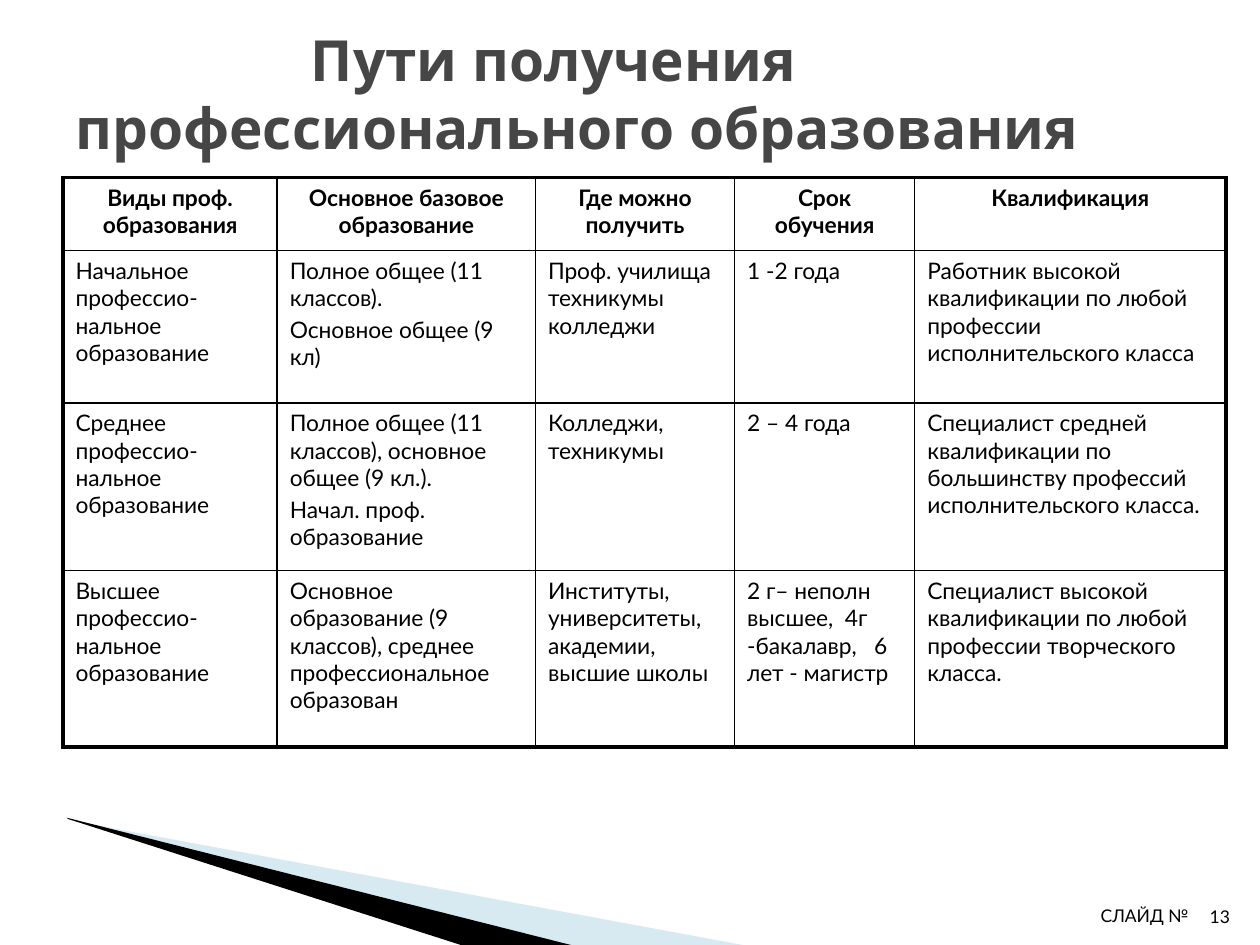
from lxml import etree
from pptx import Presentation
from pptx.dml.color import RGBColor
from pptx.enum.text import MSO_ANCHOR, PP_ALIGN
from pptx.oxml.ns import qn
from pptx.util import Inches, Pt

BLACK = RGBColor(0x00, 0x00, 0x00)
GREY = RGBColor(0x46, 0x46, 0x46)
BLUE = RGBColor(0x9F, 0xCB, 0xDC)

prs = Presentation()
prs.slide_width, prs.slide_height = Inches(10), Inches(7.5)
s = prs.slides.add_slide(prs.slide_layouts[6])


def add_text(text, left, top, width, height, font, size, color, anchor):
    tf = s.shapes.add_textbox(Inches(left), Inches(top), Inches(width), Inches(height)).text_frame
    tf.word_wrap = True
    tf.vertical_anchor = anchor
    p = tf.paragraphs[0]
    p.text = text
    p.font.name, p.font.size, p.font.color.rgb = font, Pt(size), color
    return p


def set_border(cell, side, width):
    ln = etree.SubElement(cell._tc.get_or_add_tcPr(), qn(f"a:ln{side}"), w=str(Pt(width)))
    fill = etree.SubElement(ln, qn("a:solidFill"))
    etree.SubElement(fill, qn("a:srgbClr"), val=str(BLACK))


# Corner wedges: blue at 40 % opacity, then black
wedges = [
    (BLUE, 40, [(0.55, 6.51), (5.95, 7.51), (4.56, 7.51), (0.55, 6.5)]),
    (BLACK, 100, [(0.53, 6.49), (4.57, 7.51), (3.72, 7.52), (0.54, 6.5)]),
]
for color, opacity, points in wedges:
    start, *rest = [(Inches(x), Inches(y)) for x, y in points]
    fb = s.shapes.build_freeform(*start)
    fb.add_line_segments(rest, close=True)
    sp = fb.convert_to_shape()
    sp.shadow.inherit = False
    sp.fill.solid()
    sp.fill.fore_color.rgb = color
    sp.line.fill.background()
    if opacity < 100:
        clr = sp._element.spPr.find(qn("a:solidFill"))[0]
        etree.SubElement(clr, qn("a:alpha"), val=str(opacity * 1000))

# Title, with its first line indented
p = add_text("Пути получения профессионального образования",
             0.5, 0.32, 9, 0.83, "Noto Sans", 32.4, GREY, MSO_ANCHOR.MIDDLE)
p.font.bold = True
p._p.get_or_add_pPr().set("indent", str(Inches(1.87)))

# Table of education paths; a line break in a cell starts a new paragraph
rows = [
    ["Виды проф. образования", "Основное базовое образование", "Где можно получить",
     "Срок обучения", "Квалификация"],
    ["Начальное профессио-нальное образование",
     "Полное общее (11 классов).\nОсновное общее (9 кл)",
     "Проф. училища техникумы колледжи", "1 -2 года",
     "Работник высокой квалификации по любой профессии исполнительского класса"],
    ["Среднее профессио-нальное образование",
     "Полное общее (11 классов), основное общее (9 кл.).\nНачал. проф. образование",
     "Колледжи, техникумы", "2 – 4 года",
     "Специалист средней квалификации по большинству профессий исполнительского класса."],
    ["Высшее профессио-нальное образование",
     "Основное образование (9 классов), среднее профессиональное образован",
     "Институты, университеты, академии, высшие школы",
     "2 г– неполн высшее,  4г -бакалавр,   6 лет - магистр",
     "Специалист высокой квалификации по любой профессии творческого класса."],
]
col_widths = [1.7, 2.05, 1.58, 1.43, 2.47]
row_heights = [0.58, 1.21, 1.33, 1.4]
last_row, last_col = len(rows) - 1, len(col_widths) - 1

table = s.shapes.add_table(len(rows), len(col_widths), Inches(0.5), Inches(1.41),
                           Inches(sum(col_widths)), Inches(sum(row_heights))).table
table.first_row = table.horz_banding = False
for col, width in zip(table.columns, col_widths):
    col.width = Inches(width)
for row, height in zip(table.rows, row_heights):
    row.height = Inches(height)

for i, texts in enumerate(rows):
    for j, text in enumerate(texts):
        cell = table.cell(i, j)
        # Thick outer frame, thin inner lines
        outer = {"L": j == 0, "R": j == last_col, "T": i == 0, "B": i == last_row}
        for side, is_outer in outer.items():
            set_border(cell, side, 2.25 if is_outer else 1)
        cell.fill.background()
        cell.text_frame.text = text
        for n, p in enumerate(cell.text_frame.paragraphs):
            p.font.name, p.font.size, p.font.color.rgb = "Lato", Pt(13), BLACK
            p.font.bold = i == 0
            p.alignment = PP_ALIGN.CENTER if i == 0 else PP_ALIGN.LEFT
            if n > 0:
                p.space_before = Pt(2.6)

# Slide number and its label
for text, left, top, width in [("13", 9.46, 7.01, 0.4), ("СЛАЙД №", 6.96, 7, 2.57)]:
    p = add_text(text, left, top, width, 0.4, "Lato", 10, BLACK, MSO_ANCHOR.BOTTOM)
    p.alignment = PP_ALIGN.RIGHT

prs.save("out.pptx")
